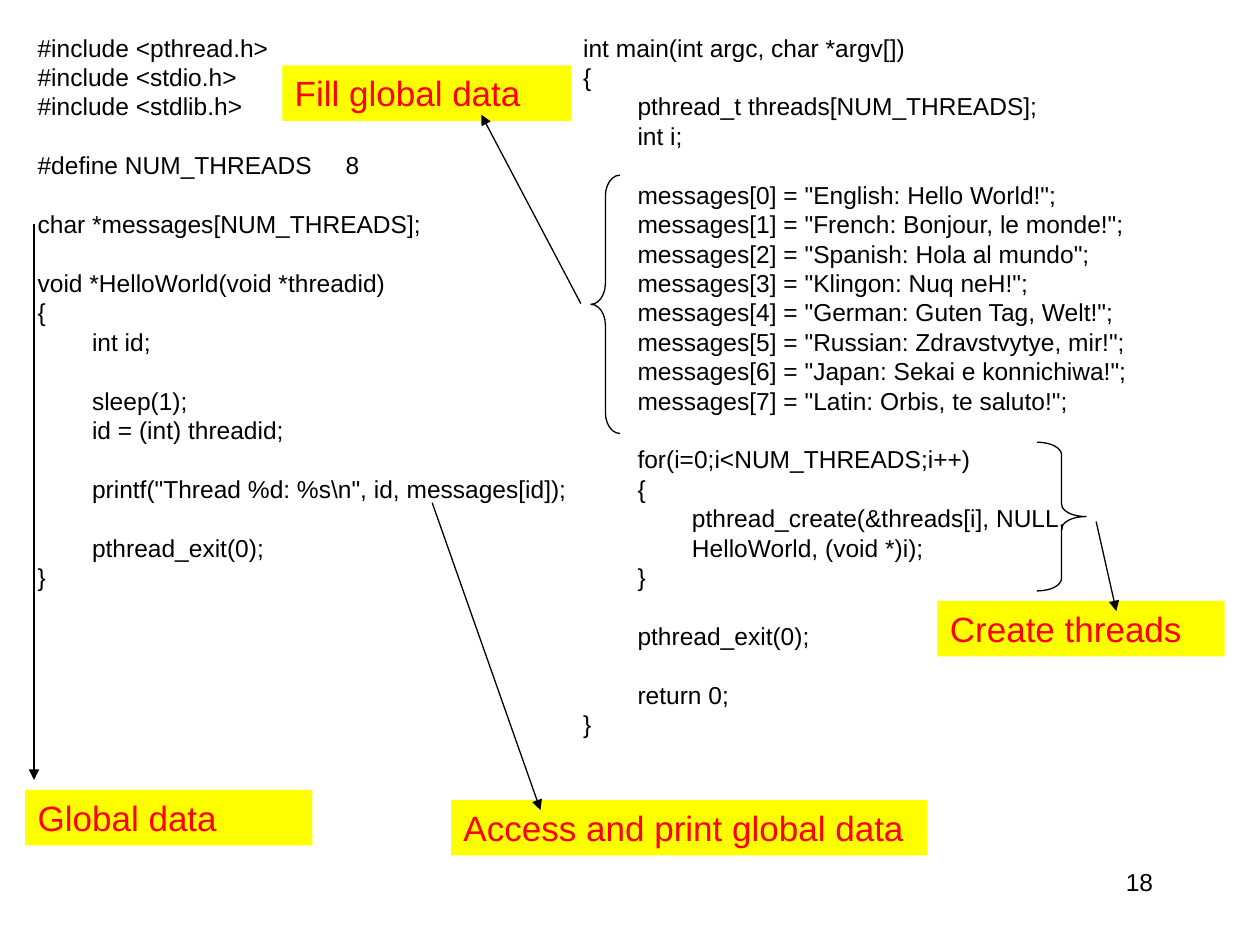
from typing import NamedTuple

from lxml.etree import SubElement
from pptx import Presentation
from pptx.dml.color import RGBColor
from pptx.enum.shapes import MSO_CONNECTOR, MSO_SHAPE
from pptx.enum.text import MSO_ANCHOR, PP_ALIGN
from pptx.oxml.ns import qn
from pptx.util import Inches, Pt

COLORS = {"ink": "000000", "label": "FFFF00", "label_text": "FF0000"}
FONT = "Arial"
CODE_SIZE, LABEL_SIZE = 14, 20
BLANK_LINE = Pt(16.8)

THREAD_CODE = r"""#include <pthread.h>
#include <stdio.h>
#include <stdlib.h>

#define NUM_THREADS     8

char *messages[NUM_THREADS];

void *HelloWorld(void *threadid)
{
        int id;

        sleep(1);
        id = (int) threadid;

        printf("Thread %d: %s\n", id, messages[id]);

        pthread_exit(0);
}"""

MAIN_CODE = """int main(int argc, char *argv[])
{
        pthread_t threads[NUM_THREADS];
        int i;

        messages[0] = "English: Hello World!";
        messages[1] = "French: Bonjour, le monde!";
        messages[2] = "Spanish: Hola al mundo";
        messages[3] = "Klingon: Nuq neH!";
        messages[4] = "German: Guten Tag, Welt!";
        messages[5] = "Russian: Zdravstvytye, mir!";
        messages[6] = "Japan: Sekai e konnichiwa!";
        messages[7] = "Latin: Orbis, te saluto!";

        for(i=0;i<NUM_THREADS;i++)
        {
                pthread_create(&threads[i], NULL,
                HelloWorld, (void *)i);
        }

        pthread_exit(0);

        return 0;
}"""


class Box(NamedTuple):
    left: float
    top: float
    width: float
    height: float

    def lengths(self):
        return [Inches(value) for value in self]


class Label(NamedTuple):
    text: str
    box: Box


class Brace(NamedTuple):
    preset: MSO_SHAPE
    box: Box
    curve: float


class Arrow(NamedTuple):
    start: tuple[float, float]
    end: tuple[float, float]


LISTINGS = [
    Label(THREAD_CODE, Box(0.2, 0.21, 4.41, 4.54)),
    Label(MAIN_CODE, Box(4.53, 0.21, 5.47, 5.71)),
]
LABELS = [
    Label("Global data", Box(0.2, 6.27, 2.28, 0.44)),
    Label("Fill global data", Box(2.24, 0.52, 2.29, 0.44)),
    Label("Create threads", Box(7.44, 4.77, 2.28, 0.44)),
    Label("Access and print global data", Box(3.58, 6.35, 3.78, 0.44)),
]
BRACES = [
    Brace(MSO_SHAPE.LEFT_BRACE, Box(4.69, 1.39, 0.23, 2.05), 0.72),
    Brace(MSO_SHAPE.RIGHT_BRACE, Box(8.23, 3.51, 0.39, 1.18), 0.25),
]
ARROWS = [
    Arrow((0.27, 1.78), (0.27, 6.19)),
    Arrow((4.61, 2.41), (3.82, 0.91)),
    Arrow((8.7, 4.14), (8.86, 4.85)),
    Arrow((3.43, 3.99), (4.29, 6.43)),
]
PAGE_NUMBER = Label("18", Box(7.17, 6.83, 2.08, 0.49))


def color(name: str) -> RGBColor:
    return RGBColor.from_string(COLORS[name])


def write_line(paragraph, text: str, size: float, ink: str) -> None:
    run = paragraph.add_run()
    run.text = text
    run.font.name = FONT
    run.font.size = Pt(size)
    run.font.color.rgb = color(ink)


def draw_listing(slide, listing: Label) -> None:
    frame = slide.shapes.add_textbox(*listing.box.lengths()).text_frame
    frame.word_wrap = True
    for index, block in enumerate(listing.text.split("\n\n")):
        for row, code in enumerate(block.split("\n")):
            first = index == row == 0
            paragraph = frame.paragraphs[0] if first else frame.add_paragraph()
            if index and row == 0:
                paragraph.space_before = BLANK_LINE
            write_line(paragraph, code, CODE_SIZE, "ink")


def draw_label(slide, label: Label) -> None:
    panel = slide.shapes.add_shape(MSO_SHAPE.RECTANGLE, *label.box.lengths())
    panel.shadow.inherit = False
    panel.fill.solid()
    panel.fill.fore_color.rgb = color("label")
    panel.line.fill.background()
    frame = panel.text_frame
    frame.word_wrap = True
    frame.vertical_anchor = MSO_ANCHOR.TOP
    frame.paragraphs[0].alignment = PP_ALIGN.LEFT
    write_line(frame.paragraphs[0], label.text, LABEL_SIZE, "label_text")


def draw_brace(slide, brace: Brace) -> None:
    outline = slide.shapes.add_shape(brace.preset, *brace.box.lengths())
    outline.shadow.inherit = False
    outline.adjustments[0] = brace.curve
    outline.fill.background()
    outline.line.color.rgb = color("ink")
    outline.line.width = Pt(0.75)


def draw_arrow(slide, arrow: Arrow) -> None:
    ends = [Inches(value) for value in arrow.start + arrow.end]
    connector = slide.shapes.add_connector(MSO_CONNECTOR.STRAIGHT, *ends)
    connector.line.color.rgb = color("ink")
    connector.line.width = Pt(0.75)
    SubElement(connector.line._get_or_add_ln(), qn("a:tailEnd"), type="triangle")
    SubElement(connector._element.spPr, qn("a:effectLst"))


def draw_page_number(slide, number: Label) -> None:
    frame = slide.shapes.add_textbox(*number.box.lengths()).text_frame
    frame.word_wrap = True
    frame.paragraphs[0].alignment = PP_ALIGN.RIGHT
    write_line(frame.paragraphs[0], number.text, CODE_SIZE, "ink")


def main() -> None:
    """Build the annotated thread program slide."""
    presentation = Presentation()
    presentation.slide_width = Inches(10)
    presentation.slide_height = Inches(7.5)
    slide = presentation.slides.add_slide(presentation.slide_layouts[6])
    for draw, parts in (
        (draw_listing, LISTINGS),
        (draw_label, LABELS),
        (draw_brace, BRACES),
        (draw_arrow, ARROWS),
        (draw_page_number, [PAGE_NUMBER]),
    ):
        for part in parts:
            draw(slide, part)
    presentation.save("out.pptx")


if __name__ == "__main__":
    main()
